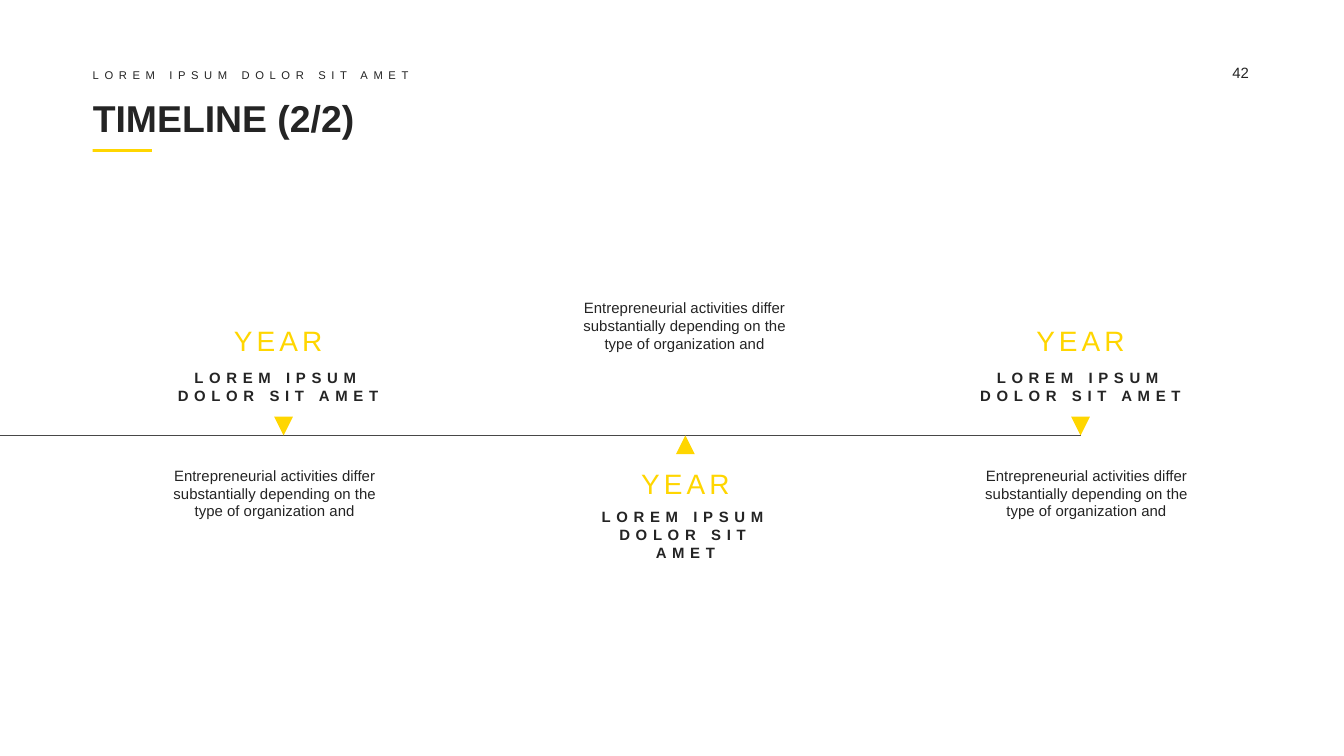
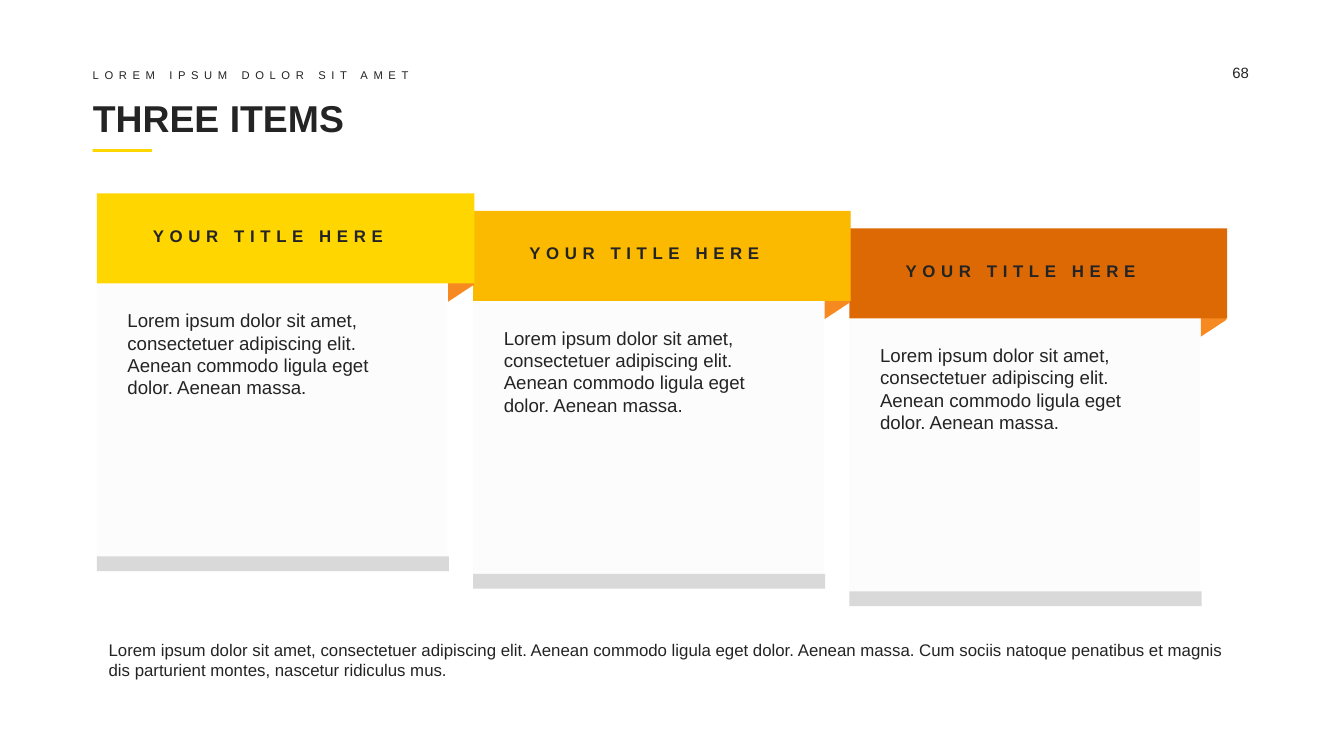
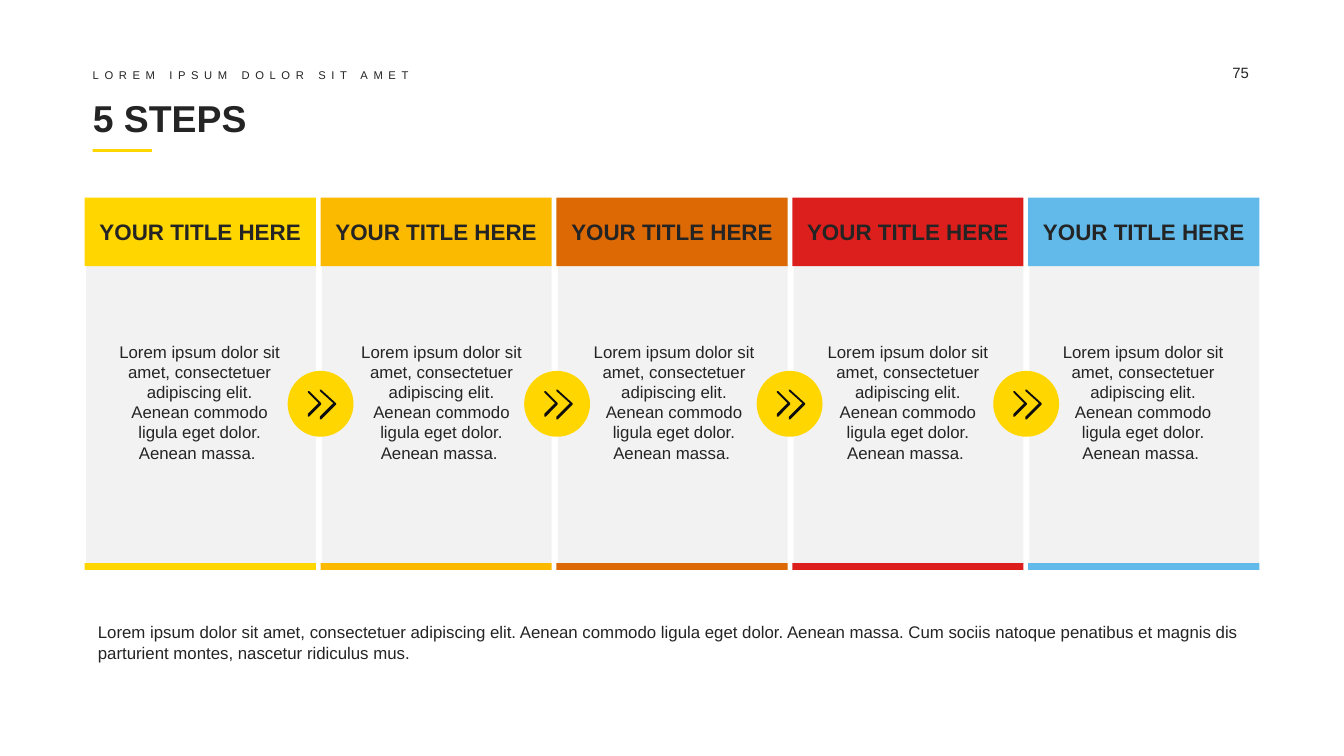
import pptx
import pptx.util
import pptx.dml.color
import pptx.enum.shapes
import pptx.enum.text
import pptx.oxml
import pptx.oxml.ns

Inches = pptx.util.Inches
RGBColor = pptx.dml.color.RGBColor
KIND = pptx.enum.shapes.MSO_SHAPE
ALIGN = pptx.enum.text.PP_ALIGN
ANCHOR = pptx.enum.text.MSO_ANCHOR

INK = RGBColor(0x24, 0x24, 0x24)
BLACK = RGBColor(0x0E, 0x0E, 0x0E)
RULE = RGBColor(0x48, 0x48, 0x48)
YELLOW = RGBColor(0xFF, 0xD6, 0x00)
AMBER = RGBColor(0xFB, 0xBA, 0x00)
RUST = RGBColor(0xDD, 0x69, 0x04)
RED = RGBColor(0xDC, 0x1F, 0x1C)
BLUE = RGBColor(0x61, 0xBA, 0xE9)
ORANGE = RGBColor(0xF6, 0x89, 0x1F)
PAPER = RGBColor(0xE7, 0xE6, 0xE6)
PANEL = RGBColor(0xF2, 0xF2, 0xF2)
EDGE = RGBColor(0xD9, 0xD9, 0xD9)

FONT = "Arial"
LABEL = "LOREM IPSUM DOLOR SIT AMET"
HEAD = "YOUR TITLE HERE"
NOTE = "Entrepreneurial activities differ substantially depending on the type of organization and"
LOREM = ("Lorem ipsum dolor sit amet, consectetuer adipiscing elit. "
         "Aenean commodo ligula eget dolor. Aenean massa.")
CLOSE = LOREM + (" Cum sociis natoque penatibus et magnis dis parturient montes, "
                 "nascetur ridiculus mus.")
ARROWS = (
    ((36, 24), (25, 14), (24, 14), (24, 15), (34, 24), (24, 34), (24, 36), (25, 36), (36, 25)),
    ((25, 24), (16, 15), (15, 15), (15, 16), (23, 24), (15, 32), (15, 34), (16, 34), (25, 25)),
)


def paint(shape, fill):
    """Give a shape a flat fill with no line or shadow."""
    shape.shadow.inherit = False
    shape.fill.solid()
    shape.fill.fore_color.rgb = fill
    shape.line.fill.background()
    return shape


def block(shapes, box, fill, kind=KIND.RECTANGLE):
    """Add a flat preset shape."""
    return paint(shapes.add_shape(kind, *map(Inches, box)), fill)


def write(shape, text, size, color=INK, bold=False, gap=0, align=ALIGN.LEFT):
    """Set one styled paragraph, with gap as letter spacing in points."""
    para = shape.text_frame.paragraphs[0]
    para.text = text
    para.alignment = align
    run = para.runs[0]
    run.font.name = FONT
    run.font.size = pptx.util.Pt(size)
    run.font.bold = bold
    run.font.color.rgb = color
    if gap:
        run.font._element.set("spc", str(round(gap * 100)))


def label(shapes, box, text, size, inset=True, wrap=True, middle=False, **style):
    """Add a text box."""
    shape = shapes.add_textbox(*map(Inches, box))
    frame = shape.text_frame
    frame.word_wrap = wrap
    if middle:
        frame.vertical_anchor = ANCHOR.MIDDLE
    if not inset:
        frame.margin_left = frame.margin_right = 0
        frame.margin_top = frame.margin_bottom = 0
    write(shape, text, size, **style)


def header(deck, title, page):
    """Start a slide with its title, label, accent bar and page number."""
    shapes = deck.slides.add_slide(deck.slide_layouts[6]).shapes
    block(shapes, (0.69, 1.11, 0.44, 0.02), YELLOW)
    label(shapes, (0.69, 0.51, 7.17, 0.1), LABEL, 6, inset=False, middle=True, gap=3)
    label(shapes, (0.69, 0.69, 8.62, 0.37), title, 20, inset=False, middle=True, bold=True)
    label(shapes, (9.17, 0.47, 0.43, 0.16), str(page), 8, inset=False)
    return shapes


def event(shapes, left, axis, above, mark, head, wide, note):
    """Place a year, heading and note around the axis; offsets run from left."""
    top = axis - 0.83 if above else axis + 0.23
    drop = 0.33 if above else 0.31
    below = axis + 0.23 if above else axis - 1.02
    point = axis - 0.14 if above else axis
    tip = block(shapes, (left + mark, point, 0.14, 0.14), YELLOW, KIND.ISOSCELES_TRIANGLE)
    tip.rotation = 180 if above else 0
    style = dict(inset=False, align=ALIGN.CENTER)
    label(shapes, (left, top, 0.7, 0.25), "YEAR", 15, wrap=False, color=YELLOW, gap=2.2, **style)
    label(shapes, (left + head, top + drop, wide, 0.4), LABEL, 8, bold=True, gap=3, **style)
    label(shapes, (left + note, below, 1.63, 0.4), NOTE, 8, **style)


def timeline(deck):
    """Build the timeline slide."""
    shapes = header(deck, "TIMELINE (2/2)", 42)
    axis = 3.24
    ends = map(Inches, (-0.02, axis, 8.04, axis))
    line = shapes.add_connector(pptx.enum.shapes.MSO_CONNECTOR.STRAIGHT, *ends)
    line.line.color.rgb = RULE
    line.line.width = pptx.util.Pt(0.5)
    props = line._element.spPr
    props.append(pptx.oxml.parse_xml("<a:effectLst %s/>" % pptx.oxml.ns.nsdecls("a")))
    event(shapes, 1.72, axis, True, 0.32, -0.42, 1.54, -0.49)
    event(shapes, 4.75, axis, False, 0.28, -0.34, 1.38, -0.47)
    event(shapes, 7.69, axis, True, 0.28, -0.42, 1.54, -0.42)


def card(shapes, left, top, fill):
    """Place a paper card under a folded title band."""
    group = shapes.add_group_shape().shapes
    fold = block(group, (left + 2.31, top + 0.31, 0.8, 0.19), ORANGE, KIND.PARALLELOGRAM)
    fold.adjustments[0] = 0.66
    fold.rotation = 90
    fold._element.spPr.xfrm.set("flipV", "1")
    sheet = block(group, (left, top + 0.68, 2.61, 2.13), PAPER)
    tint = sheet._element.spPr.find(".//" + pptx.oxml.ns.qn("a:srgbClr"))
    tint.append(pptx.oxml.parse_xml('<a:alpha %s val="10000"/>' % pptx.oxml.ns.nsdecls("a")))
    block(group, (left, top, 2.81, 0.67), fill)
    block(group, (left, top + 2.7, 2.62, 0.11), EDGE)
    label(group, (left + 0.32, top + 0.19, 2, 0.25), HEAD, 9, bold=True, gap=3)
    label(group, (left + 0.13, top + 0.81, 2.28, 0.77), LOREM, 10)


def items(deck):
    """Build the slide of three stepped cards."""
    shapes = header(deck, "THREE ITEMS", 68)
    for i, fill in reversed(list(enumerate((YELLOW, AMBER, RUST)))):
        card(shapes, 0.72 + 2.8 * i, 1.44 + 0.13 * i, fill)
    label(shapes, (0.71, 4.71, 8.59, 0.4), CLOSE, 9)


def step(shapes, left, top, fill):
    """Place a column with a title band and a matching foot."""
    block(shapes, (left + 0.01, top + 0.51, 1.71, 2.21), PANEL)
    band = block(shapes, (left, top, 1.72, 0.51), fill)
    band.text_frame.word_wrap = True
    band.text_frame.vertical_anchor = ANCHOR.MIDDLE
    write(band, HEAD, 12, bold=True, align=ALIGN.CENTER)
    block(shapes, (left, top + 2.72, 1.72, 0.05), fill)


def badge(shapes, left, top):
    """Place a round badge with a double arrow."""
    group = shapes.add_group_shape().shapes
    block(group, (left, top, 0.49, 0.49), YELLOW, KIND.OVAL)
    first, second = ARROWS
    pen = group.build_freeform(*first[0], scale=Inches(0.01))
    pen.add_line_segments(first[1:])
    pen.move_to(*second[0])
    pen.add_line_segments(second[1:])
    paint(pen.convert_to_shape(Inches(left), Inches(top)), BLACK)


def steps(deck):
    """Build the slide of five linked columns."""
    shapes = header(deck, "5 STEPS", 75)
    fills = (YELLOW, AMBER, RUST, RED, BLUE)
    start, last = 0.63, 7.65
    pitch = (last - start) / (len(fills) - 1)
    for i, fill in enumerate(fills):
        step(shapes, start + i * pitch, 1.47, fill)
    for left in (0.77, 2.57, 4.3, 6.04, 7.79):
        label(shapes, (left, 2.49, 1.43, 1.01), LOREM + " ", 9, align=ALIGN.CENTER)
    for left in (2.14, 3.9, 5.63, 7.39):
        badge(shapes, left, 2.76)
    label(shapes, (0.63, 4.58, 8.74, 0.4), CLOSE, 9)


def main():
    """Build and save the deck."""
    deck = pptx.Presentation()
    deck.slide_width = Inches(10)
    deck.slide_height = deck.slide_width * 9 // 16
    timeline(deck)
    items(deck)
    steps(deck)
    deck.save("out.pptx")


if __name__ == "__main__":
    main()
